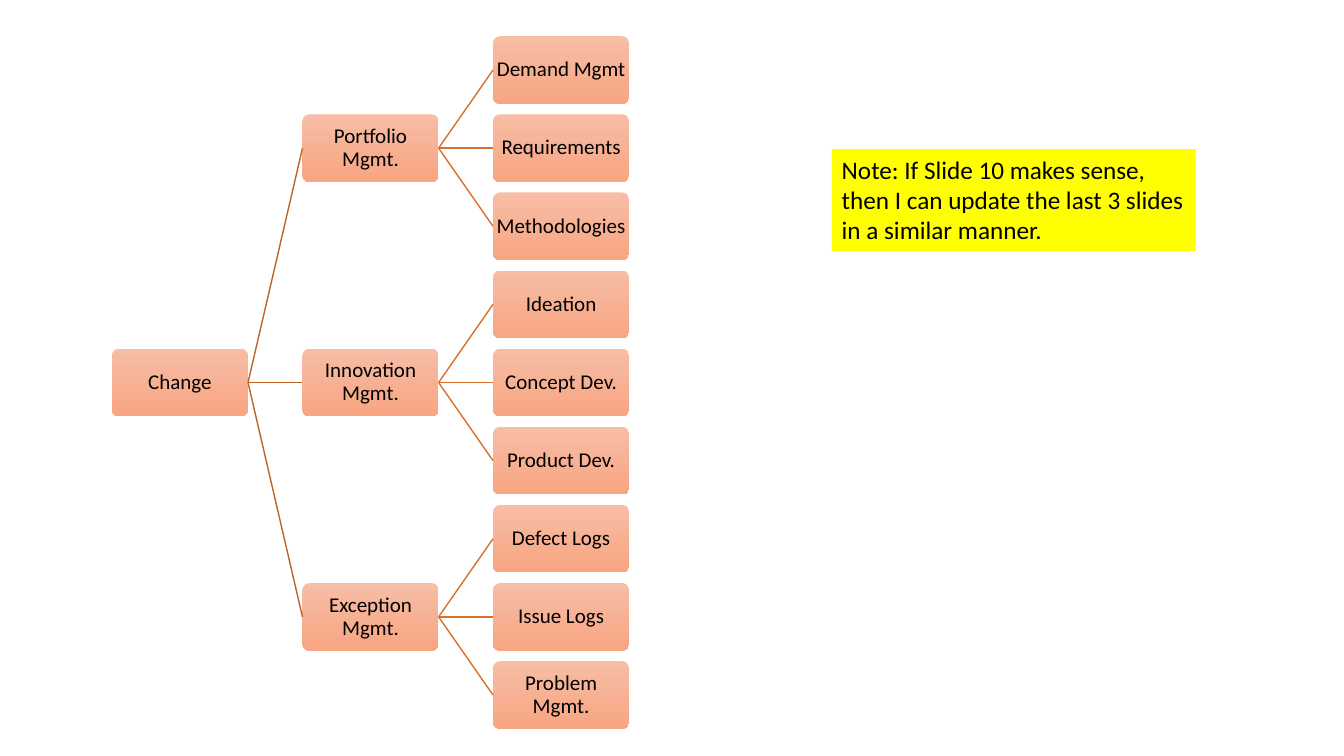
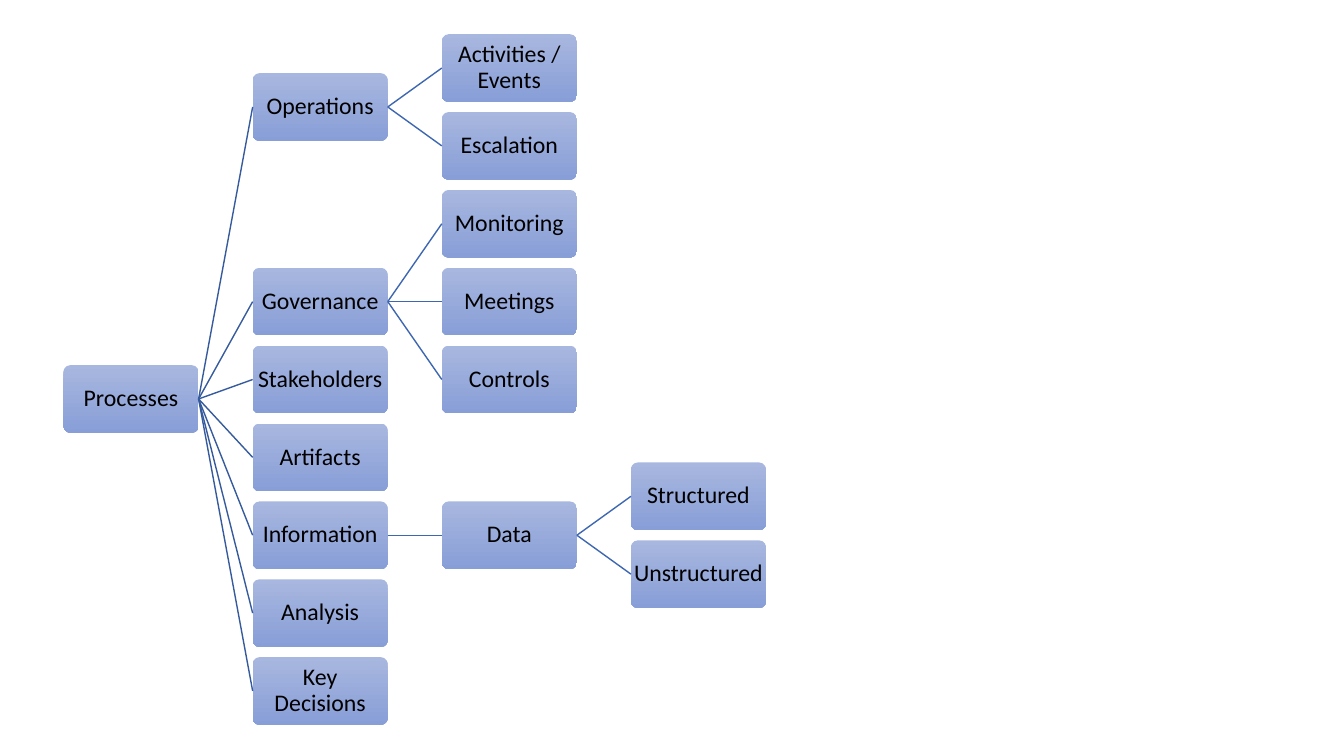
"""Build two slides of left-to-right hierarchy trees."""
from dataclasses import dataclass

from lxml import etree
from pptx import Presentation
from pptx.dml.color import RGBColor
from pptx.enum import shapes, text
from pptx.oxml.ns import qn
from pptx.shapes.autoshape import Shape
from pptx.slide import Slide
from pptx.util import Inches, Pt

FONT = "Calibri"
BLACK = RGBColor(0x00, 0x00, 0x00)
YELLOW = RGBColor(0xFF, 0xFF, 0x00)
ORANGE_TOP = RGBColor(0xF7, 0xBD, 0xA5)
ORANGE_BOTTOM = RGBColor(0xF8, 0xA5, 0x82)
ORANGE_TRUNK = RGBColor(0xBE, 0x64, 0x27)
ORANGE_BRANCH = RGBColor(0xD7, 0x71, 0x2C)
BLUE_TOP = RGBColor(0xA8, 0xB7, 0xDF)
BLUE_BOTTOM = RGBColor(0x88, 0x9E, 0xD7)
BLUE_TRUNK = RGBColor(0x36, 0x5B, 0x9D)
BLUE_BRANCH = RGBColor(0x3E, 0x67, 0xB2)

BOX_HEIGHT = 0.67
COLUMN_PITCH = 1.4
LAST_ROW = 8
RIGHT_SIDE, LEFT_SIDE = 3, 1


@dataclass
class Node:
    label: str
    children: tuple["Node", ...] = ()
    row: float = 0


@dataclass(frozen=True)
class TreeStyle:
    left: float
    first_top: float
    last_top: float
    box_width: float
    font_size: int
    fill_top: RGBColor
    fill_bottom: RGBColor
    trunk: RGBColor
    branch: RGBColor


def branch(label: str, *leaves: str) -> Node:
    return Node(label, tuple(Node(leaf) for leaf in leaves))


CHANGE = Node("Change", (
    branch("Portfolio Mgmt.", "Demand Mgmt", "Requirements", "Methodologies"),
    branch("Innovation Mgmt.", "Ideation", "Concept Dev.", "Product Dev."),
    branch("Exception Mgmt.", "Defect Logs", "Issue Logs", "Problem Mgmt."),
))
PROCESSES = Node("Processes", (
    branch("Operations", "Activities / Events", "Escalation"),
    branch("Governance", "Monitoring", "Meetings", "Controls"),
    Node("Stakeholders"),
    Node("Artifacts"),
    Node("Information", (branch("Data", "Structured", "Unstructured"),)),
    Node("Analysis"),
    Node("Key Decisions"),
))
ORANGE_STYLE = TreeStyle(1.11, 0.36, 6.56, 1.35, 15, ORANGE_TOP,
                         ORANGE_BOTTOM, ORANGE_TRUNK, ORANGE_BRANCH)
BLUE_STYLE = TreeStyle(0.63, 0.34, 6.52, 1.34, 17, BLUE_TOP,
                       BLUE_BOTTOM, BLUE_TRUNK, BLUE_BRANCH)


def shift(node: Node, level: int, rows: float, free_rows: dict[int, float]) -> None:
    node.row += rows
    free_rows[level] = node.row + 1
    for child in node.children:
        shift(child, level + 1, rows, free_rows)


def arrange(node: Node, level: int, free_rows: dict[int, float]) -> None:
    free_row = free_rows.get(level, 0)
    for child in node.children:
        arrange(child, level + 1, free_rows)
    if node.children:
        node.row = (node.children[0].row + node.children[-1].row) / 2
    else:
        node.row = free_row
    shift(node, level, max(0, free_row - node.row), free_rows)


def set_text(shape: Shape, words: str, size: int) -> None:
    frame = shape.text_frame
    frame.text = words
    frame.word_wrap = True
    font = frame.paragraphs[0].runs[0].font
    font.name, font.size, font.color.rgb = FONT, Pt(size), BLACK


def add_box(slide: Slide, node: Node, level: int, style: TreeStyle) -> Shape:
    left = style.left + level * COLUMN_PITCH * style.box_width
    top = style.first_top + node.row * (style.last_top - style.first_top) / LAST_ROW
    box = slide.shapes.add_shape(
        shapes.MSO_SHAPE.ROUNDED_RECTANGLE, Inches(left), Inches(top),
        Inches(style.box_width), Inches(BOX_HEIGHT))
    box.adjustments[0] = 0.1
    box.shadow.inherit = False
    box.line.fill.background()
    box.fill.gradient()
    box.fill.gradient_angle = 270
    for stop, color in zip(box.fill.gradient_stops, (style.fill_top, style.fill_bottom)):
        stop.color.rgb = color
    set_text(box, node.label, style.font_size)
    frame = box.text_frame
    frame.vertical_anchor = text.MSO_ANCHOR.MIDDLE
    frame.margin_left = frame.margin_right = Inches(0.01)
    frame.margin_top = frame.margin_bottom = Inches(0.01)
    frame.paragraphs[0].alignment = text.PP_ALIGN.CENTER
    frame.paragraphs[0].line_spacing = 0.9
    return box


def join(slide: Slide, parent: Shape, child: Shape, color: RGBColor) -> None:
    connector = slide.shapes.add_connector(shapes.MSO_CONNECTOR.STRAIGHT, 0, 0, 0, 0)
    connector.begin_connect(parent, RIGHT_SIDE)
    connector.end_connect(child, LEFT_SIDE)
    connector.line.color.rgb = color
    connector.line.width = Pt(1)
    etree.SubElement(connector._element.spPr, qn("a:effectLst"))


def draw_tree(slide: Slide, node: Node, style: TreeStyle, level: int = 0) -> Shape:
    box = add_box(slide, node, level, style)
    color = style.branch if level else style.trunk
    for child in node.children:
        join(slide, box, draw_tree(slide, child, style, level + 1), color)
    return box


def add_note(slide: Slide, words: str) -> None:
    note = slide.shapes.add_textbox(Inches(8.25), Inches(1.48), Inches(3.61), Inches(1.01))
    note.fill.solid()
    note.fill.fore_color.rgb = YELLOW
    set_text(note, words, 18)
    note.text_frame.auto_size = text.MSO_AUTO_SIZE.SHAPE_TO_FIT_TEXT


def add_tree_slide(presentation: Presentation, root: Node, style: TreeStyle) -> Slide:
    slide = presentation.slides.add_slide(presentation.slide_layouts[6])
    arrange(root, 0, {})
    draw_tree(slide, root, style)
    return slide


def main() -> None:
    presentation = Presentation()
    presentation.slide_width = Inches(13.33)
    presentation.slide_height = Inches(7.5)
    change_slide = add_tree_slide(presentation, CHANGE, ORANGE_STYLE)
    add_note(change_slide, "Note: If Slide 10 makes sense, then I can update "
                           "the last 3 slides in a similar manner.")
    add_tree_slide(presentation, PROCESSES, BLUE_STYLE)
    presentation.save("out.pptx")


if __name__ == "__main__":
    main()
